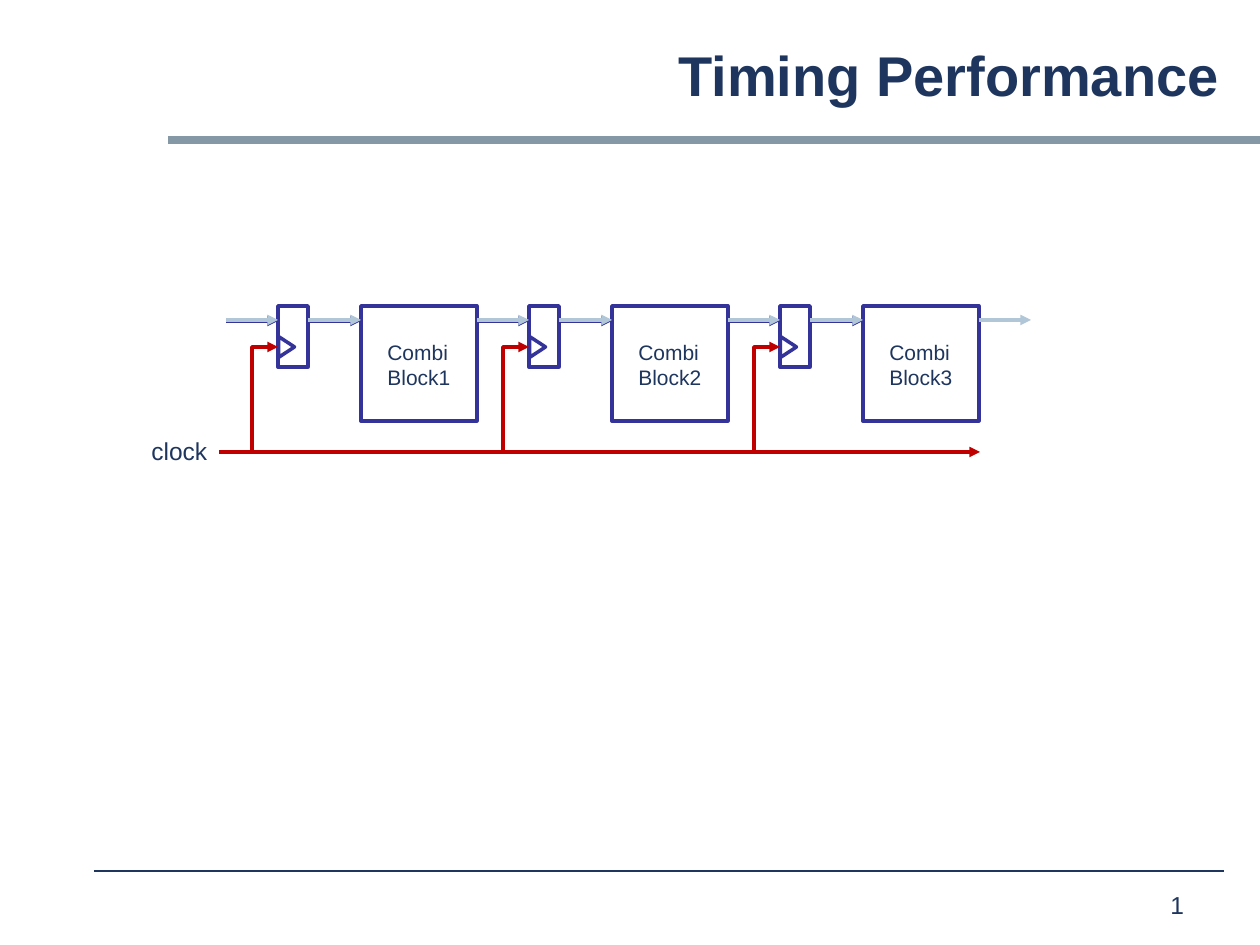
"""Build the Timing Performance slide: a three-stage clocked pipeline."""
from dataclasses import dataclass
from typing import Any, NamedTuple

from lxml.etree import SubElement
from pptx import Presentation
from pptx.dml.color import RGBColor
from pptx.enum.shapes import MSO_CONNECTOR as Connector, MSO_SHAPE as Shape
from pptx.enum.text import MSO_ANCHOR as Anchor, MSO_AUTO_SIZE as AutoSize, PP_ALIGN as Align
from pptx.oxml.ns import qn
from pptx.util import Emu, Pt


@dataclass(frozen=True)
class Theme:
    """Colours, font and type sizes of the slide."""
    text: str = "1E355E"
    bar: str = "8499A5"
    outline: str = "333399"
    data: str = "B1C6D7"
    clock: str = "C00000"
    font: str = "Arial"
    title_size: int = 32
    label_size: int = 14
    block_size: int = 12
    line_width: float = 2
    rule_width: float = 0.75


class Box(NamedTuple):
    """Left, top, width and height in px."""
    left: int
    top: int
    width: int
    height: int

    def shifted(self, distance: int) -> "Box":
        """Return the box moved to the right."""
        return self._replace(left=self.left + distance)


class Arrow(NamedTuple):
    """A horizontal arrow in px."""
    start: int
    end: int
    y: int


@dataclass(frozen=True)
class Stage:
    """One register with its combinational block."""
    lines: tuple[str, str]
    offset: int


THEME = Theme()
PX_PER_INCH = 126
STAGE_PITCH = 251
DATA_Y, PIN_Y, CLOCK_Y = 320, 347, 452
REGISTER = Box(278, 306, 30, 61)
NOTCH = Box(276, 339, 21, 16)
BLOCK = Box(361, 306, 116, 115)
BLOCK_TEXT = Box(375, 333, 88, 63)
BRANCH_X = 252
LEAD = 52
STAGES = [Stage(("Combi", f"Block{number + 1}"), number * STAGE_PITCH) for number in range(3)]


def px(length: float) -> Emu:
    """Convert px to EMU."""
    return Emu(round(length * 914400 / PX_PER_INCH))


def apply(target: Any, values: dict[str, Any]) -> None:
    """Set each named attribute of the target."""
    for name, value in values.items():
        setattr(target, name, value)


def place(shape: Any, box: Box) -> None:
    """Move and size a shape."""
    apply(shape, {name: px(value) for name, value in box._asdict().items()})


def write(shape: Any, lines: tuple[str, ...], size: int, bold: bool = False,
          frame_format: dict[str, Any] | None = None,
          paragraph_format: dict[str, Any] | None = None) -> None:
    """Write formatted paragraphs into a shape."""
    frame = shape.text_frame
    apply(frame, {"auto_size": AutoSize.NONE, "word_wrap": True, **(frame_format or {})})
    frame.text = "\n".join(lines)
    for paragraph in frame.paragraphs:
        apply(paragraph, paragraph_format or {})
        font = paragraph.runs[0].font
        apply(font, {"name": THEME.font, "size": Pt(size), "bold": bold})
        font.color.rgb = RGBColor.from_string(THEME.text)


def add_outline(shapes: Any, kind: Shape, box: Box, rotation: int = 0) -> None:
    """Draw an unfilled outlined shape."""
    shape = shapes.add_shape(kind, *map(px, box))
    shape.rotation = rotation
    shape.shadow.inherit = False
    shape.fill.background()
    shape.line.color.rgb = RGBColor.from_string(THEME.outline)
    shape.line.width = Pt(THEME.line_width)


def add_line(shapes: Any, points: tuple[float, float, float, float], color: str,
             width: float = THEME.line_width, head: bool = True,
             kind: Connector = Connector.STRAIGHT) -> Any:
    """Draw a connector without shadow, with an optional arrowhead."""
    connector = shapes.add_connector(kind, *map(px, points))
    connector.line.color.rgb = RGBColor.from_string(color)
    connector.line.width = Pt(width)
    if head:
        SubElement(connector.line._get_or_add_ln(), qn("a:tailEnd"), type="triangle")
    SubElement(connector._element.spPr, qn("a:effectLst"))
    return connector


def add_arrow(shapes: Any, arrow: Arrow, color: str) -> None:
    """Draw a horizontal arrow."""
    add_line(shapes, (arrow.start, arrow.y, arrow.end, arrow.y), color)


def add_branch(shapes: Any, offset: int) -> None:
    """Draw the elbow that rises from the clock line to a register pin."""
    rise, run = CLOCK_Y - PIN_Y, REGISTER.left - BRANCH_X
    center_x, center_y = BRANCH_X + offset + run / 2, (CLOCK_Y + PIN_Y) / 2
    points = (center_x + rise / 2, center_y + run / 2, center_x - rise / 2, center_y - run / 2)
    properties = add_line(shapes, points, THEME.clock, kind=Connector.ELBOW)._element.spPr
    properties.find(qn("a:xfrm")).set("rot", "5400000")
    properties.find(qn("a:prstGeom")).set("prst", "bentConnector2")


def add_stage(shapes: Any, stage: Stage) -> None:
    """Draw a block with its label and the register before it."""
    add_outline(shapes, Shape.RECTANGLE, BLOCK.shifted(stage.offset))
    register = shapes.add_group_shape().shapes
    add_outline(register, Shape.RECTANGLE, REGISTER.shifted(stage.offset))
    add_outline(register, Shape.ISOSCELES_TRIANGLE, NOTCH.shifted(stage.offset), 90)
    label = shapes.add_textbox(*map(px, BLOCK_TEXT.shifted(stage.offset)))
    write(label, stage.lines, THEME.block_size, frame_format={"word_wrap": False})


def add_data_path(shapes: Any) -> None:
    """Draw the data arrows, those within the pipeline with a dark lower edge."""
    register_right = REGISTER.left + REGISTER.width
    block_right = BLOCK.left + BLOCK.width
    inner = [Arrow(start + stage.offset, end + stage.offset, DATA_Y)
             for stage in STAGES
             for start, end in ((REGISTER.left - LEAD, REGISTER.left),
                                (register_right, BLOCK.left))]
    output = block_right + STAGES[-1].offset
    for arrow in inner:
        add_arrow(shapes, arrow._replace(y=DATA_Y + 1), THEME.outline)
    for arrow in [*inner, Arrow(output, output + LEAD, DATA_Y)]:
        add_arrow(shapes, arrow, THEME.data)


def add_clock(shapes: Any) -> None:
    """Draw the clock label and the clock tree."""
    label = shapes.add_textbox(*map(px, Box(139, 430, 87, 43)))
    write(label, ("clock",), THEME.label_size)
    tree = shapes.add_group_shape().shapes
    for stage in STAGES:
        add_branch(tree, stage.offset)
    add_arrow(tree, Arrow(219, 980, CLOCK_Y), THEME.clock)


def add_frame(shapes: Any) -> None:
    """Draw the title, the bar below it, the footer rule and the page number."""
    bar = shapes.add_shape(Shape.RECTANGLE, *map(px, Box(168, 136, 1092, 8)))
    bar.shadow.inherit = False
    bar.fill.solid()
    bar.fill.fore_color.rgb = RGBColor.from_string(THEME.bar)
    bar.line.fill.background()
    add_line(shapes, (94, 871, 1224, 871), THEME.text, THEME.rule_width, head=False)
    number = shapes.add_textbox(*map(px, Box(1158, 888, 82, 33)))
    write(number, ("1",), THEME.label_size,
          paragraph_format={"line_spacing": 0.88, "space_before": Pt(5.2)})
    place(shapes.title, Box(171, 26, 1061, 105))
    write(shapes.title, ("Timing Performance",), THEME.title_size, True,
          {"vertical_anchor": Anchor.MIDDLE},
          {"alignment": Align.RIGHT, "line_spacing": 0.88})


def main() -> None:
    """Build and save the presentation."""
    presentation = Presentation()
    apply(presentation, {"slide_width": px(1260), "slide_height": px(945)})
    shapes = presentation.slides.add_slide(presentation.slide_layouts[5]).shapes
    add_frame(shapes)
    for stage in STAGES:
        add_stage(shapes, stage)
    add_clock(shapes)
    add_data_path(shapes)
    presentation.save("out.pptx")


if __name__ == "__main__":
    main()
